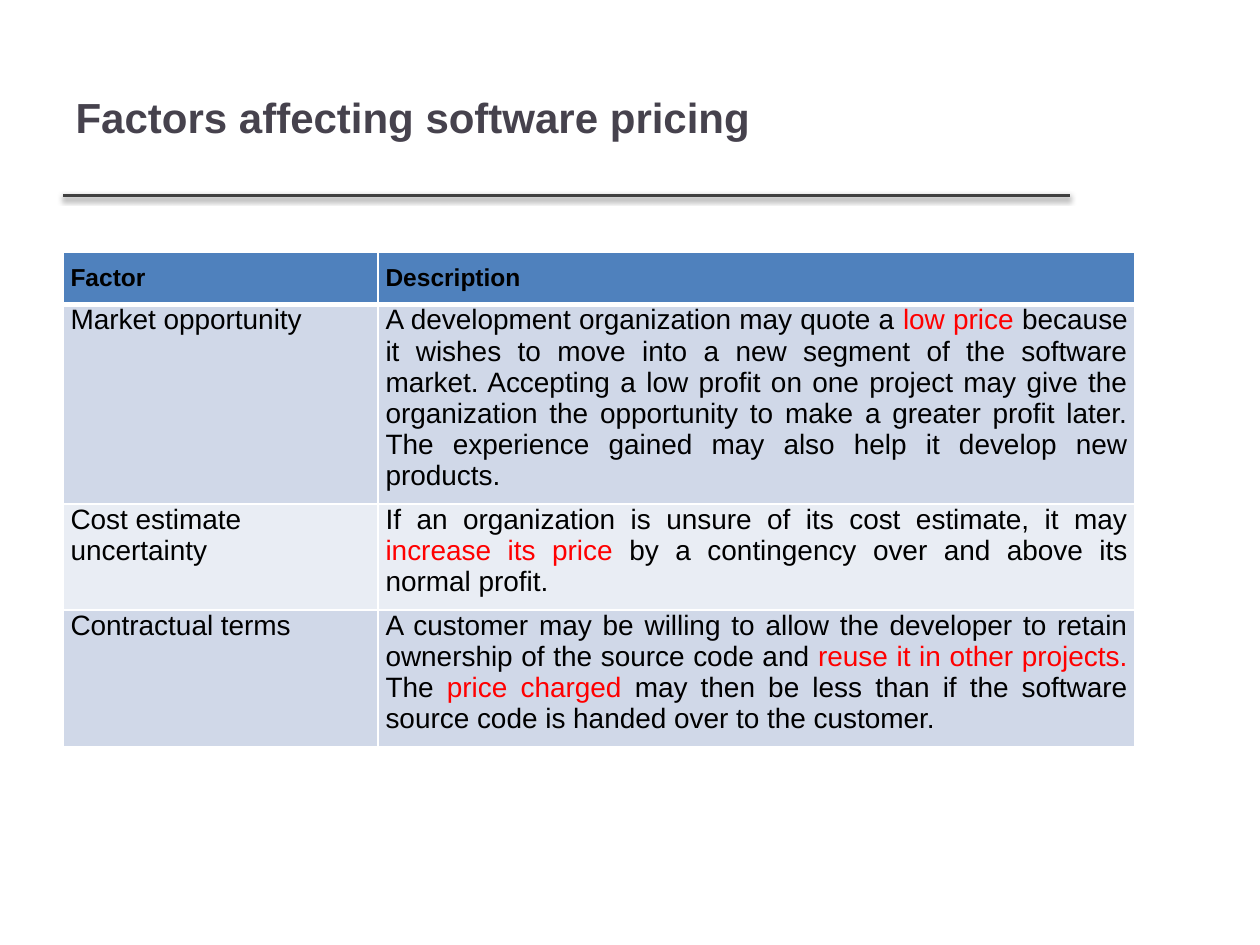
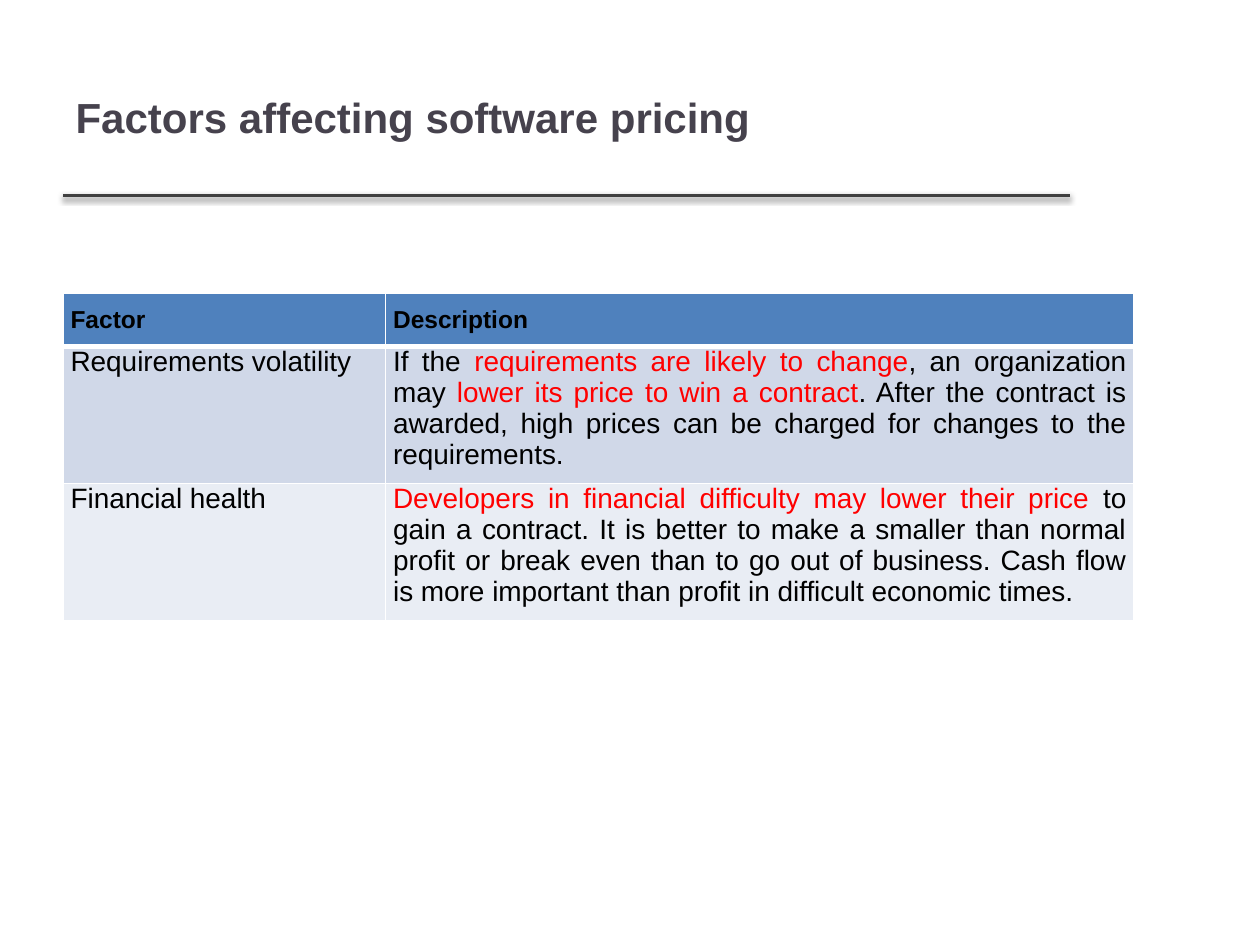
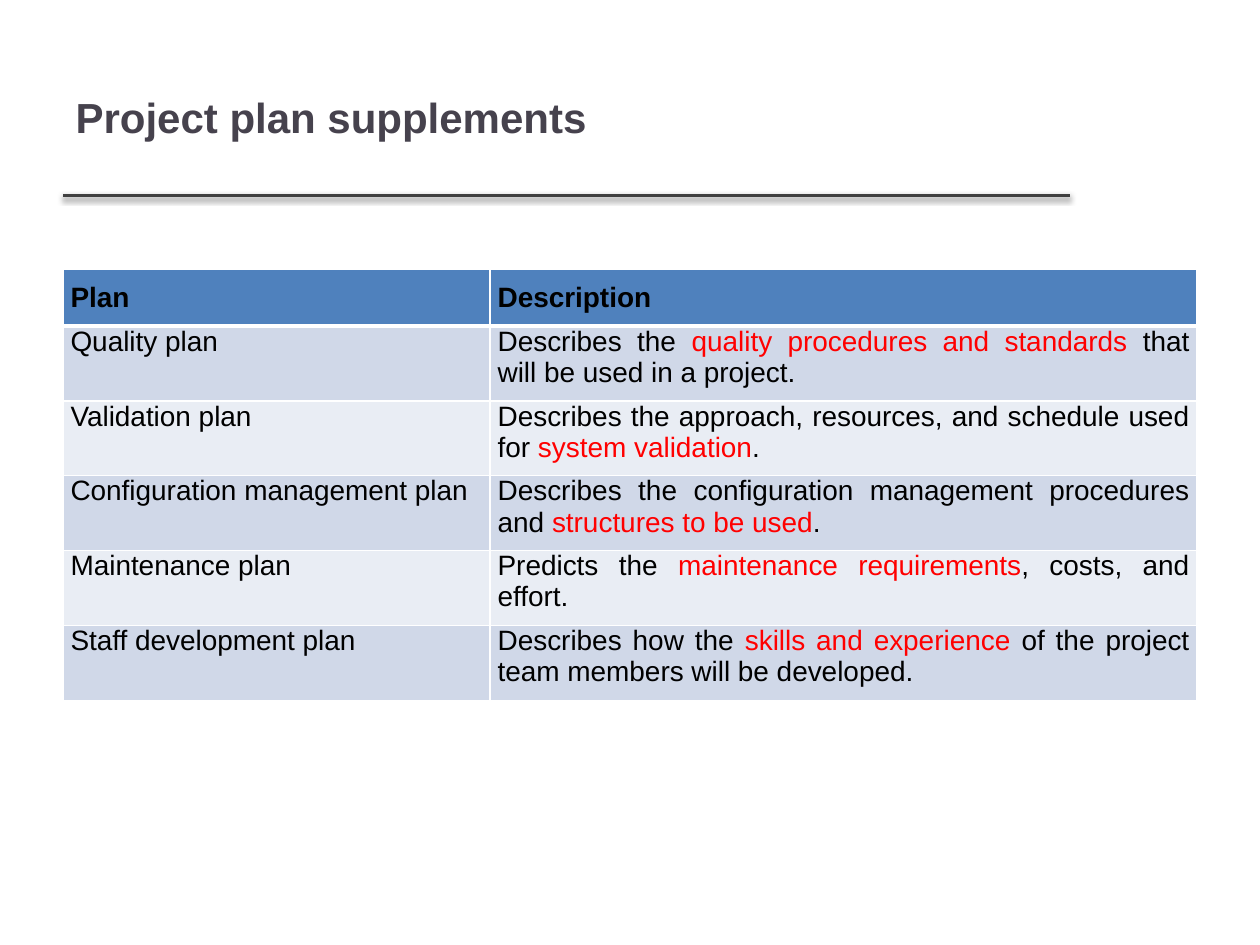
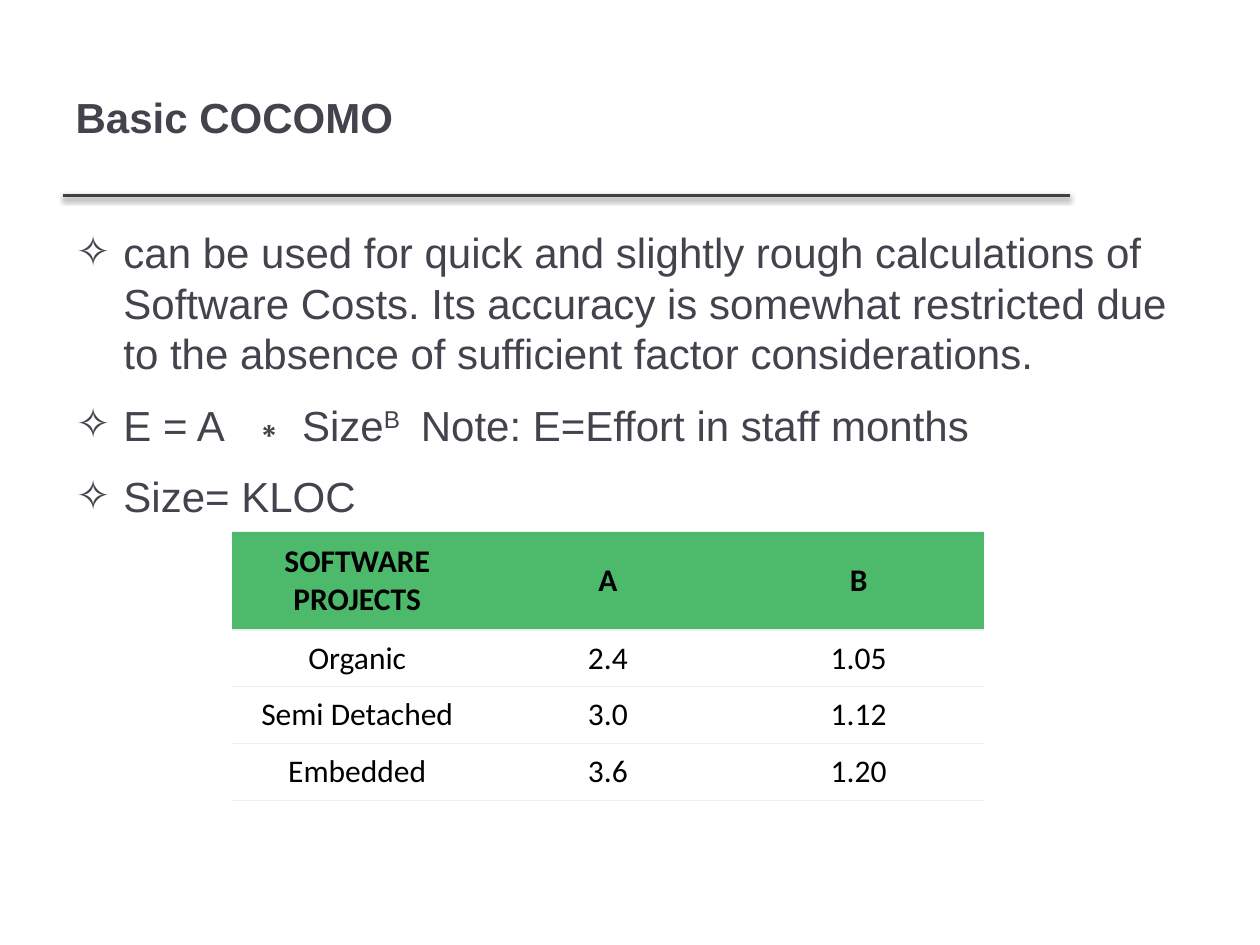
"""Build four slides on software pricing, project plans and Basic COCOMO."""
from dataclasses import dataclass
from typing import Any, NamedTuple

from lxml import etree
from pptx import Presentation
from pptx.dml.color import RGBColor
from pptx.enum.shapes import MSO_CONNECTOR
from pptx.enum.text import MSO_ANCHOR, MSO_AUTO_SIZE, PP_ALIGN
from pptx.oxml.ns import qn
from pptx.util import Inches, Pt

LEFT, CENTER, JUSTIFY = PP_ALIGN.LEFT, PP_ALIGN.CENTER, PP_ALIGN.JUSTIFY
TOP, MIDDLE = MSO_ANCHOR.TOP, MSO_ANCHOR.MIDDLE
NO_AUTOFIT = MSO_AUTO_SIZE.NONE
STRAIGHT = MSO_CONNECTOR.STRAIGHT

CONTENT_LAYOUT, TITLE_ONLY_LAYOUT = 1, 5
MARGIN = 0.5
HEADING, RULE, BLACK, RED, WHITE = "46424D", "404040", "000000", "FF0000", "FFFFFF"
BLUE, BAND_DARK, BAND_LIGHT = "4F81BD", "D0D8E8", "E9EDF4"
GREEN, PALE_GREY = "4CB96B", "EDEDED"
BORDER_SIDES = ("L", "R", "T", "B")


class Border(NamedTuple):
    color: str
    points: float


class Span(NamedTuple):
    text: str
    superscript: bool = False
    spacing: float = 0


class CellStyle(NamedTuple):
    fill: str
    size: float
    font: str
    bold: bool
    align: Any
    anchor: Any
    inset_x: float
    inset_top: float
    inset_bottom: float
    borders: dict[str, Border]


@dataclass
class FactorTable:
    """A two-column table; text between bars is red."""

    title: str
    top: float
    widths: tuple[float, float]
    header: tuple[str, str]
    rows: list[tuple[str, str]]
    header_size: float = 14


FACTOR_TABLES = [
    FactorTable(
        "Factors affecting software pricing", 2, (2.5, 6.01), ("Factor", "Description"),
        [
            ("Market opportunity",
             "A development organization may quote a |low price |because it wishes to move "
             "into a new segment of the software market. Accepting a low profit on one "
             "project may give the organization the opportunity to make a greater profit "
             "later. The experience gained may also help it develop new products."),
            ("Cost estimate uncertainty",
             "If an organization is unsure of its cost estimate, it may |increase its price "
             "|by a contingency over and above its normal profit."),
            ("Contractual terms",
             "A customer may be willing to allow the developer to retain ownership of the "
             "source code and |reuse it in other projects. |The |price charged |may then be "
             "less than if the software source code is handed over to the customer."),
        ],
    ),
    FactorTable(
        "Factors affecting software pricing", 2.33, (2.56, 5.94), ("Factor", "Description"),
        [
            ("Requirements volatility",
             "If the |requirements are likely to change|, an organization may |lower its "
             "price to win a contract|. After the contract is awarded, high prices can be "
             "charged for changes to the requirements."),
            ("Financial health",
             "|Developers in financial difficulty may lower their price |to gain a contract. "
             "It is better to make a smaller than normal profit or break even than to go out "
             "of business. Cash flow is more important than profit in difficult economic "
             "times."),
        ],
    ),
    FactorTable(
        "Project plan supplements", 2.14, (3.39, 5.61), ("Plan", "Description"),
        [
            ("Quality plan",
             "Describes the |quality procedures and standards |that will be used in a "
             "project."),
            ("Validation plan",
             "Describes the approach, resources, and schedule used for |system validation|."),
            ("Configuration management plan",
             "Describes the configuration management procedures and |structures to be used|."),
            ("Maintenance plan",
             "Predicts the |maintenance requirements|, costs, and effort."),
            ("Staff development plan",
             "Describes how the |skills and experience |of the project team members will be "
             "developed."),
        ],
        header_size=16,
    ),
]

COCOMO_POINTS = [
    [Span("can be used for quick and slightly rough calculations of Software Costs. Its "
          "accuracy is somewhat restricted due to the absence of sufficient factor "
          "considerations.")],
    [Span("E = A"), Span(" ", spacing=6.7), Span("∗ Size"), Span("B", superscript=True),
     Span(" ", superscript=True, spacing=8), Span("Note: E=Effort in staff months")],
    [Span("Size= KLOC")],
]
COCOMO_ROWS = [
    ("SOFTWARE PROJECTS", "A", "B"),
    ("Organic", "2.4", "1.05"),
    ("Semi Detached", "3.0", "1.12"),
    ("Embedded", "3.6", "1.20"),
]


def rgb(color: str) -> RGBColor:
    """Turn a hex string into a colour."""
    return RGBColor.from_string(color)


def add_span(para: Any, text: str, size: float, color: str,
             font: str = "Arial", bold: bool = False) -> Any:
    """Add one formatted run to a paragraph."""
    span = para.add_run()
    span.text = text
    span.font.name, span.font.size, span.font.bold = font, Pt(size), bold
    span.font.color.rgb = rgb(color)
    return span


def place(shape: Any, left: float, top: float, width: float, height: float) -> None:
    """Move and size a shape in inches."""
    shape.left, shape.top = Inches(left), Inches(top)
    shape.width, shape.height = Inches(width), Inches(height)


def add_rule(page: Any) -> None:
    """Draw the shadowed line under the title."""
    rule = page.shapes.add_connector(
        STRAIGHT, Inches(MARGIN), Inches(1.55), Inches(8.49), Inches(1.55))
    rule.line.color.rgb = rgb(RULE)
    rule.line.width = Pt(2)
    effects = etree.SubElement(rule._element.spPr, qn("a:effectLst"))
    shadow = etree.SubElement(
        effects, qn("a:outerShdw"), blurRad=str(Pt(3.1)), dist=str(Pt(1.6)),
        dir="5400000", rotWithShape="0")
    shade = etree.SubElement(shadow, qn("a:srgbClr"), val=BLACK)
    etree.SubElement(shade, qn("a:alpha"), val="38000")


def add_page(deck: Any, layout: int, title: str) -> Any:
    """Add a slide with the shared title and rule."""
    page = deck.slides.add_slide(deck.slide_layouts[layout])
    add_rule(page)
    box = page.shapes.title
    place(box, MARGIN, 0.3, 7.98, 1.25)
    frame = box.text_frame
    frame.auto_size, frame.vertical_anchor = NO_AUTOFIT, MIDDLE
    para = frame.paragraphs[0]
    para.alignment = LEFT
    add_span(para, title, 24, HEADING, bold=True)
    return page


def set_borders(cell: Any, borders: dict[str, Border]) -> None:
    """Draw the given cell borders and clear the others."""
    properties = cell._tc.get_or_add_tcPr()
    for side in BORDER_SIDES:
        border = borders.get(side)
        line = etree.SubElement(properties, qn(f"a:ln{side}"))
        if border is None:
            line.set("w", "0")
            etree.SubElement(line, qn("a:noFill"))
        else:
            line.set("w", str(Pt(border.points)))
            fill = etree.SubElement(line, qn("a:solidFill"))
            etree.SubElement(fill, qn("a:srgbClr"), val=border.color)


def fill_cell(cell: Any, text: str, style: CellStyle) -> None:
    """Write and format one cell, with every second part of the text in red."""
    set_borders(cell, style.borders)
    cell.fill.solid()
    cell.fill.fore_color.rgb = rgb(style.fill)
    cell.margin_left = cell.margin_right = Inches(style.inset_x)
    cell.margin_top, cell.margin_bottom = Inches(style.inset_top), Inches(style.inset_bottom)
    cell.vertical_anchor = style.anchor
    para = cell.text_frame.paragraphs[0]
    para.alignment = style.align
    for index, part in enumerate(text.split("|")):
        if part:
            color = RED if index % 2 else BLACK
            add_span(para, part, style.size, color, style.font, style.bold)


def add_grid(page: Any, left: float, top: float, widths: tuple[float, ...],
             heights: list[float]) -> Any:
    """Add an unbanded table with the given columns and rows."""
    grid = page.shapes.add_table(
        len(heights), len(widths), Inches(left), Inches(top),
        Inches(sum(widths)), Inches(sum(heights))).table
    grid.first_row = grid.horz_banding = False
    for column, width in zip(grid.columns, widths):
        column.width = Inches(width)
    for row, height in zip(grid.rows, heights):
        row.height = Inches(height)
    return grid


def add_factor_page(deck: Any, spec: FactorTable) -> None:
    """Add a slide with a blue two-column table."""
    page = add_page(deck, TITLE_ONLY_LAYOUT, spec.title)
    texts = [spec.header, *spec.rows]
    grid = add_grid(page, MARGIN, spec.top, spec.widths, [0.41] * len(texts))
    thin = dict.fromkeys(BORDER_SIDES, Border(WHITE, 1))
    thick = Border(WHITE, 3)
    header = CellStyle(BLUE, spec.header_size, "Arial", True, JUSTIFY, TOP,
                       0.06, 0.1, 0.1, {**thin, "B": thick})
    for row, row_texts in enumerate(texts):
        for column, text in enumerate(row_texts):
            style = header
            if row:
                style = CellStyle(
                    BAND_DARK if row % 2 else BAND_LIGHT, 16, "Arial", False,
                    JUSTIFY if column else LEFT, TOP, 0.06, 0, 0.1,
                    {**thin, "T": thick} if row == 1 else thin)
            fill_cell(grid.cell(row, column), text, style)


def add_points(box: Any, points: list[list[Span]]) -> None:
    """Fill the body placeholder with a star-bulleted list."""
    frame = box.text_frame
    frame.auto_size = NO_AUTOFIT
    for index, spans in enumerate(points):
        para = frame.add_paragraph() if index else frame.paragraphs[0]
        properties = para._p.get_or_add_pPr()
        properties.set("marL", str(Inches(0.38)))
        properties.set("indent", str(-Inches(0.38)))
        etree.SubElement(properties, qn("a:buChar"), char="✧")
        para.space_before, para.space_after = Pt(6 if index else 0), Pt(6)
        for item in spans:
            span = add_span(para, item.text, 24, HEADING)
            run_properties = span._r.get_or_add_rPr()
            if item.superscript:
                run_properties.set("baseline", "30000")
            if item.spacing:
                run_properties.set("spc", str(round(item.spacing * 100)))


def add_cocomo_page(deck: Any) -> None:
    """Add the slide with the formula and its coefficients."""
    page = add_page(deck, CONTENT_LAYOUT, "Basic COCOMO")
    body = page.placeholders[1]
    place(body, MARGIN, 1.75, 9, 4.95)
    add_points(body, COCOMO_POINTS)
    grid = add_grid(page, 1.84, 4.22, (1.99,) * 3, [0.78, 0.45, 0.45, 0.45])
    edge = Border(PALE_GREY, 0.75)
    header = CellStyle(GREEN, 18, "Calibri", True, CENTER, MIDDLE,
                       0.08, 0.08, 0.08, {"T": edge, "B": edge})
    value = header._replace(fill=WHITE, bold=False, inset_x=0.15,
                            inset_top=0.07, inset_bottom=0.07)
    for row, texts in enumerate(COCOMO_ROWS):
        for column, text in enumerate(texts):
            fill_cell(grid.cell(row, column), text, value if row else header)


def main() -> None:
    """Build and save the deck."""
    deck = Presentation()
    deck.slide_width, deck.slide_height = Inches(10), Inches(7.5)
    for spec in FACTOR_TABLES:
        add_factor_page(deck, spec)
    add_cocomo_page(deck)
    deck.save("out.pptx")


if __name__ == "__main__":
    main()
